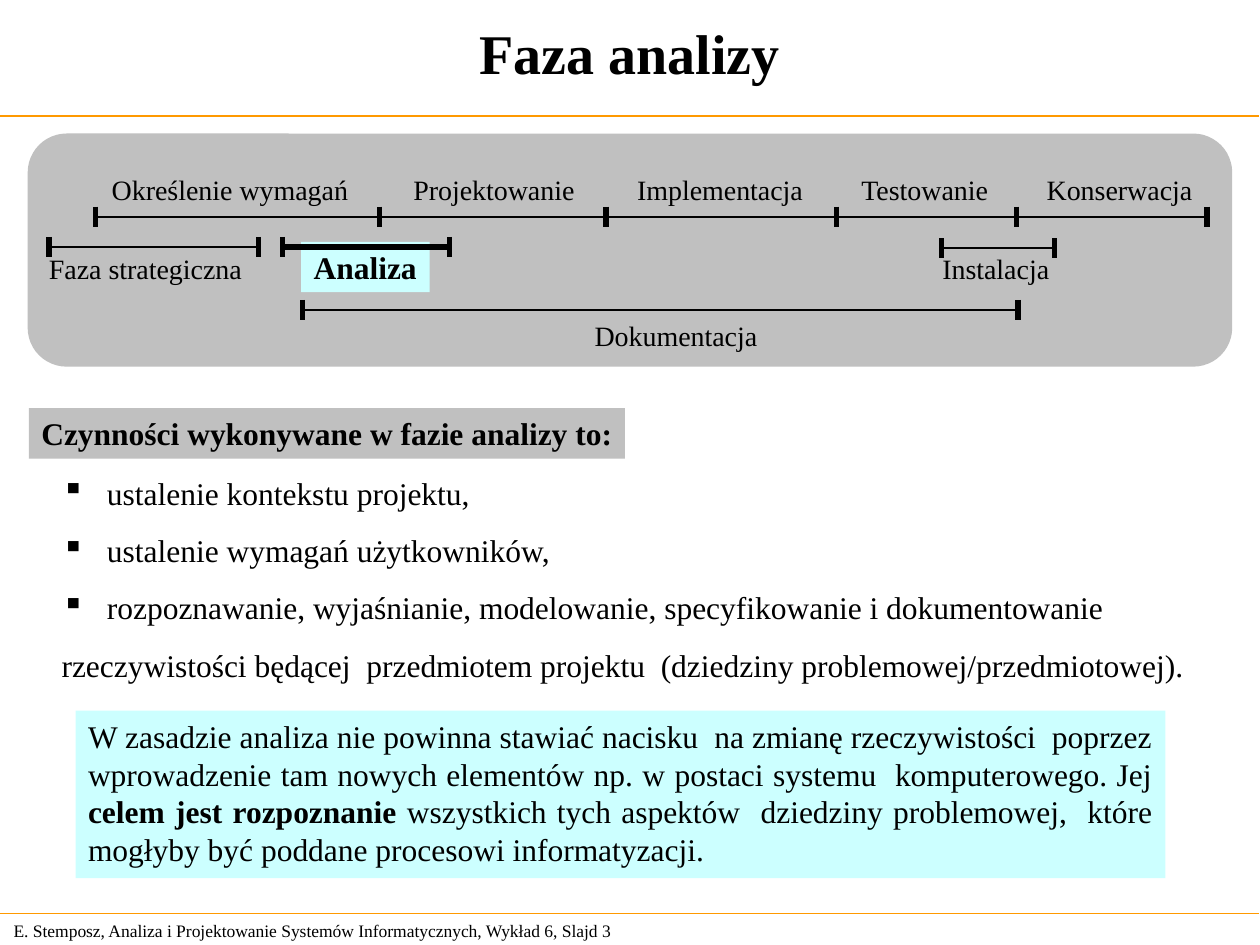
from dataclasses import dataclass

from lxml import etree
from pptx import Presentation
from pptx import util as u
from pptx.dml import color
from pptx.enum import shapes, text
from pptx.oxml import ns


@dataclass(frozen=True)
class Theme:
    font: str = "Times New Roman"
    ink: str = "000000"
    rule: str = "FF9900"
    panel: str = "C0C0C0"
    accent: str = "CCFFFF"
    title: int = 32
    body: int = 18
    label: int = 16
    footer: int = 10
    thin: float = 1
    thick: float = 3


THEME = Theme()
LEFT, CENTER, JUSTIFY = (text.PP_ALIGN.LEFT, text.PP_ALIGN.CENTER,
                         text.PP_ALIGN.JUSTIFY)


def rgb(value):
    return color.RGBColor.from_string(value)


def apply(target, values):
    for name, value in values.items():
        setattr(target, name, value)


def format_frame(frame, wrap=True, anchor=text.MSO_ANCHOR.TOP):
    apply(frame, {
        "word_wrap": wrap, "auto_size": text.MSO_AUTO_SIZE.NONE,
        "vertical_anchor": anchor,
        "margin_left": u.Inches(0.1), "margin_right": u.Inches(0.1),
        "margin_top": u.Inches(0.05), "margin_bottom": u.Inches(0.05)})


def write(paragraph, runs, size, align=LEFT):
    """Fill a paragraph with (wording, bold) runs."""
    paragraph.alignment = align
    for wording, bold in runs:
        run = paragraph.add_run()
        run.text = wording
        apply(run.font, {"name": THEME.font, "size": u.Pt(size), "bold": bold})
        run.font.color.rgb = rgb(THEME.ink)


def add_text(slide, box, runs, size, align=LEFT, fill=None, **frame_format):
    lengths = [u.Inches(value) for value in box]
    if fill:
        shape = slide.shapes.add_shape(shapes.MSO_SHAPE.RECTANGLE, *lengths)
        shape.shadow.inherit = False
        shape.fill.solid()
        shape.fill.fore_color.rgb = rgb(fill)
        shape.line.fill.background()
    else:
        shape = slide.shapes.add_textbox(*lengths)
    format_frame(shape.text_frame, **frame_format)
    write(shape.text_frame.paragraphs[0], runs, size, align)
    return shape


def add_line(slide, start, end, line_color, width):
    line = slide.shapes.add_connector(
        shapes.MSO_CONNECTOR.STRAIGHT,
        *[u.Inches(value) for value in (*start, *end)])
    line.line.color.rgb = rgb(line_color)
    line.line.width = u.Pt(width)
    etree.SubElement(line._element.spPr, ns.qn("a:effectLst"))


def add_bullet(paragraph, indent):
    properties = paragraph._p.get_or_add_pPr()
    properties.set("marL", str(u.Inches(indent)))
    properties.set("indent", str(-u.Inches(indent)))
    etree.SubElement(properties, ns.qn("a:buChar")).set("char", "▪")


def add_title(slide, box, wording):
    title = slide.shapes.title
    apply(title, dict(zip(("left", "top", "width", "height"),
                          map(u.Inches, box))))
    format_frame(title.text_frame, anchor=text.MSO_ANCHOR.MIDDLE)
    write(title.text_frame.paragraphs[0], [(wording, True)], THEME.title, CENTER)


def add_page_rules(slide, box):
    """Rules under the title and above the footer, with the footer text."""
    left, top, width, height = box
    for y in (top, top + height):
        add_line(slide, (left, y), (left + width, y), THEME.rule, 0.75)
    wording = ("E. Stemposz, Analiza i Projektowanie Systemów Informatycznych, "
               "Wykład 6, Slajd 3")
    add_text(slide, (left + 0.02, top + height, 5.24, 0.27),
             [(wording, False)], THEME.footer, anchor=text.MSO_ANCHOR.MIDDLE)


def add_span(slide, y, ticks, width):
    """A horizontal span with an upright tick at each boundary."""
    add_line(slide, (ticks[0], y), (ticks[-1], y), THEME.ink, width)
    for x in ticks:
        add_line(slide, (x, y - 0.08), (x, y + 0.08), THEME.ink, THEME.thick)


def add_phase_timeline(slide, box):
    left, top, width, height = box
    panel = slide.shapes.add_shape(shapes.MSO_SHAPE.ROUNDED_RECTANGLE,
                                   *[u.Inches(value) for value in box])
    panel.shadow.inherit = False
    panel.adjustments[0] = 0.167
    panel.fill.solid()
    panel.fill.fore_color.rgb = rgb(THEME.panel)
    panel.line.fill.background()

    # Phase names: wording, offset from the panel corner, width, alignment
    labels = [
        ("Określenie wymagań", 0.55, 0.26, 2.11, CENTER),
        ("Projektowanie", 2.94, 0.26, 1.52, CENTER),
        ("Implementacja", 4.72, 0.26, 1.55, CENTER),
        ("Testowanie", 6.49, 0.26, 1.26, CENTER),
        ("Konserwacja", 7.97, 0.26, 1.39, CENTER),
        ("Faza strategiczna", 0.07, 0.89, 1.73, LEFT),
        ("Instalacja", 7.16, 0.89, 1.05, LEFT),
        ("Dokumentacja", 4.4, 1.42, 1.49, LEFT),
    ]
    for wording, x, y, label_width, align in labels:
        add_text(slide, (left + x, top + y, label_width, 0.38),
                 [(wording, False)], THEME.label, align, wrap=False)
    add_text(slide, (left + 2.17, top + 0.86, 1.02, 0.4), [("Analiza", True)],
             THEME.body, fill=THEME.accent, wrap=False)

    # Spans: height in the panel, tick offsets, line width
    spans = [
        (0.66, (0.54, 2.79, 4.59, 6.42, 7.85, 9.36), THEME.thin),
        (0.9, (0.17, 1.83), THEME.thin),
        (0.9, (2.02, 3.35), THEME.thick),
        (0.91, (7.25, 8.15), THEME.thin),
        (1.4, (2.18, 7.86), THEME.thin),
    ]
    for y, ticks, line_width in spans:
        add_span(slide, top + y, [left + x for x in ticks], line_width)


def add_activities(slide, box):
    left, top, width, height = box
    add_text(slide, (left, top, 4.73, 0.4),
             [("Czynności wykonywane w fazie analizy to:", True)],
             THEME.body, fill=THEME.panel, wrap=False)

    # Bulleted activities, closed by an unindented continuation line
    activities = [
        ("ustalenie kontekstu projektu,", LEFT),
        ("ustalenie wymagań użytkowników,", LEFT),
        ("rozpoznawanie, wyjaśnianie, modelowanie, specyfikowanie "
         "i dokumentowanie", JUSTIFY),
    ]
    closing = ("rzeczywistości będącej  przedmiotem projektu  "
               "(dziedziny problemowej/przedmiotowej).", JUSTIFY)
    shape = slide.shapes.add_textbox(
        *map(u.Inches, (left + 0.16, top + 0.47, width - 0.16, height - 0.47)))
    frame = shape.text_frame
    format_frame(frame)
    for index, (wording, align) in enumerate([*activities, closing]):
        paragraph = frame.add_paragraph() if index else frame.paragraphs[0]
        paragraph.space_after = u.Pt(11.2)
        if index < len(activities):
            add_bullet(paragraph, 0.36)
        write(paragraph, [(wording, False)], THEME.body, align)


def add_conclusion(slide, box):
    runs = [
        ("W zasadzie analiza nie powinna stawiać nacisku  na zmianę "
         "rzeczywistości  poprzez wprowadzenie tam nowych elementów np. "
         "w postaci systemu  komputerowego. Jej ", False),
        ("celem jest rozpoznanie", True),
        (" wszystkich tych aspektów  dziedziny problemowej,  które mogłyby "
         "być poddane procesowi informatyzacji.", False),
    ]
    add_text(slide, box, runs, THEME.body, JUSTIFY, fill=THEME.accent)


def main():
    presentation = Presentation()
    presentation.slide_width = u.Inches(10)
    presentation.slide_height = u.Inches(7.5)
    slide = presentation.slides.add_slide(presentation.slide_layouts[5])

    add_page_rules(slide, (-0.01, 0.92, 10, 6.33))
    add_title(slide, (0.04, -0.01, 9.92, 0.85), "Faza analizy")
    add_phase_timeline(slide, (0.22, 1.06, 9.56, 1.85))
    add_activities(slide, (0.23, 3.24, 9.77, 2.24))
    add_conclusion(slide, (0.6, 5.64, 8.65, 1.33))
    presentation.save("out.pptx")


if __name__ == "__main__":
    main()
